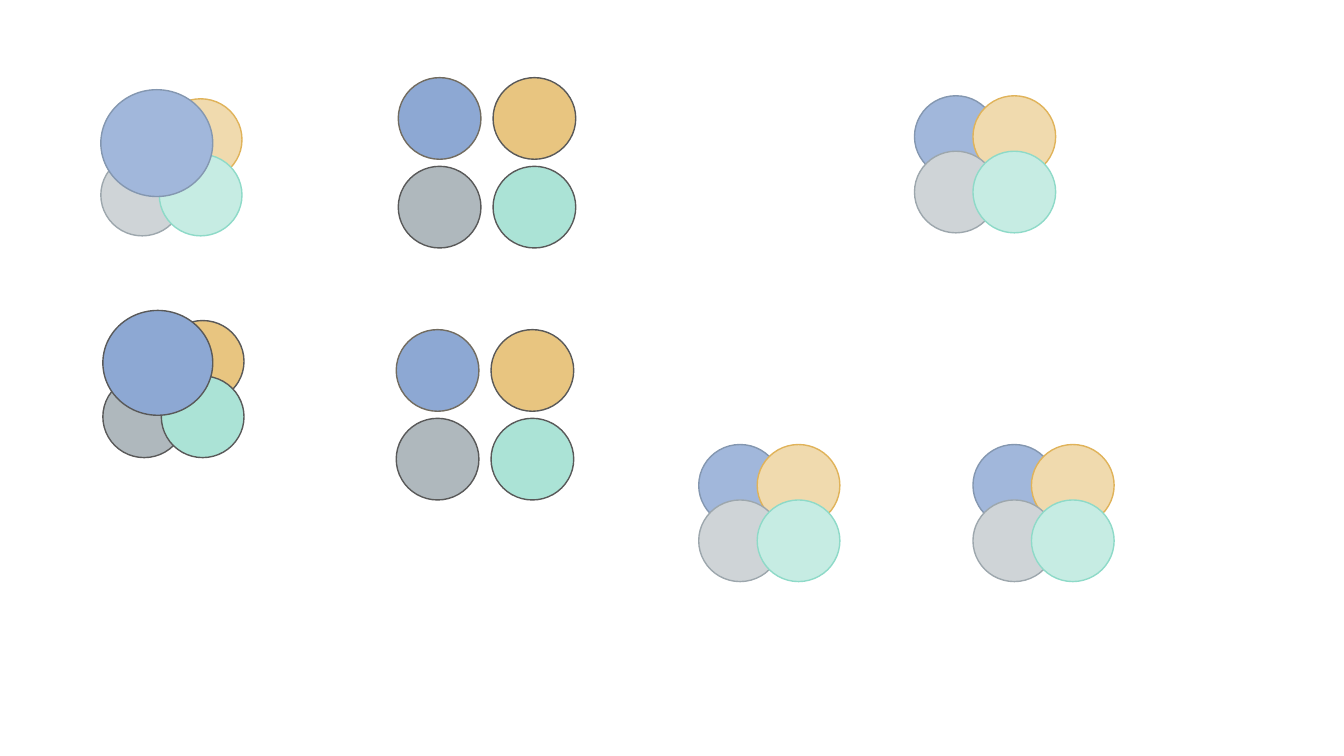
from pptx import Presentation
from pptx.dml.color import RGBColor
from pptx.enum.shapes import MSO_SHAPE as Preset
from pptx.util import Inches, Pt

GREY_LINE = RGBColor(0x59, 0x59, 0x59)
BROWN_LINE = RGBColor(0x72, 0x6C, 0x60)

# Fill and line, in the order blue, sand, grey, mint
PALE = [
    (RGBColor(0xA1, 0xB7, 0xDB), RGBColor(0x84, 0x97, 0xB0)),
    (RGBColor(0xF0, 0xDA, 0xAE), RGBColor(0xE0, 0xB3, 0x5A)),
    (RGBColor(0xCF, 0xD4, 0xD7), RGBColor(0x9D, 0xA7, 0xAD)),
    (RGBColor(0xC6, 0xEC, 0xE3), RGBColor(0x8E, 0xDA, 0xC8)),
]
STRONG = [
    (RGBColor(0x8D, 0xA8, 0xD3), GREY_LINE),
    (RGBColor(0xE8, 0xC5, 0x80), GREY_LINE),
    (RGBColor(0xAF, 0xB8, 0xBD), GREY_LINE),
    (RGBColor(0xAB, 0xE3, 0xD6), GREY_LINE),
]
STRONG_APART = [(STRONG[0][0], BROWN_LINE)] + STRONG[1:]

CIRCLE = (0.82, 0.81)
OVERLAPPING = (0.58, 0.55)
APART = (0.94, 0.88)


class CircleSlide:
    """Draws circles and groups of four on one slide."""

    def __init__(self, slide, line_width=Pt(1)):
        """Keep the slide and the common line width."""
        self.slide = slide
        self.line_width = line_width

    def circle(self, left, top, colours, size=CIRCLE):
        """Draw one outlined circle."""
        fill, line = colours
        disc = self.slide.shapes.add_shape(
            Preset.FLOWCHART_CONNECTOR, *map(Inches, (left, top, *size)))
        disc.shadow.inherit = False
        disc.fill.solid()
        disc.fill.fore_color.rgb = fill
        disc.line.color.rgb = line
        disc.line.width = self.line_width

    def cluster(self, left, top, pitch, palette, first=0):
        """Draw a two by two grid, starting at the given position."""
        for position in range(first, 4):
            row, column = divmod(position, 2)
            self.circle(left + column * pitch[0], top + row * pitch[1],
                        palette[position])

    def blue_led_cluster(self, left, top, palette, blue_top, blue_size):
        """Draw three circles with a larger blue one in front."""
        self.cluster(left, top, OVERLAPPING, palette, first=1)
        self.circle(left, blue_top, palette[0], blue_size)


deck = Presentation()
deck.slide_width, deck.slide_height = Inches(13.33), Inches(7.5)
circles = CircleSlide(deck.slides.add_slide(deck.slide_layouts[6]))

circles.blue_led_cluster(1, 0.98, PALE, 0.89, (1.11, 1.06))
circles.blue_led_cluster(1.02, 3.18, STRONG, 3.08, (1.09, 1.04))

for left, top in [(9.07, 0.95), (9.65, 4.41), (6.93, 4.41)]:
    circles.cluster(left, top, OVERLAPPING, PALE)

for left, top in [(3.95, 0.77), (3.93, 3.27)]:
    circles.cluster(left, top, APART, STRONG_APART)

deck.save("out.pptx")
